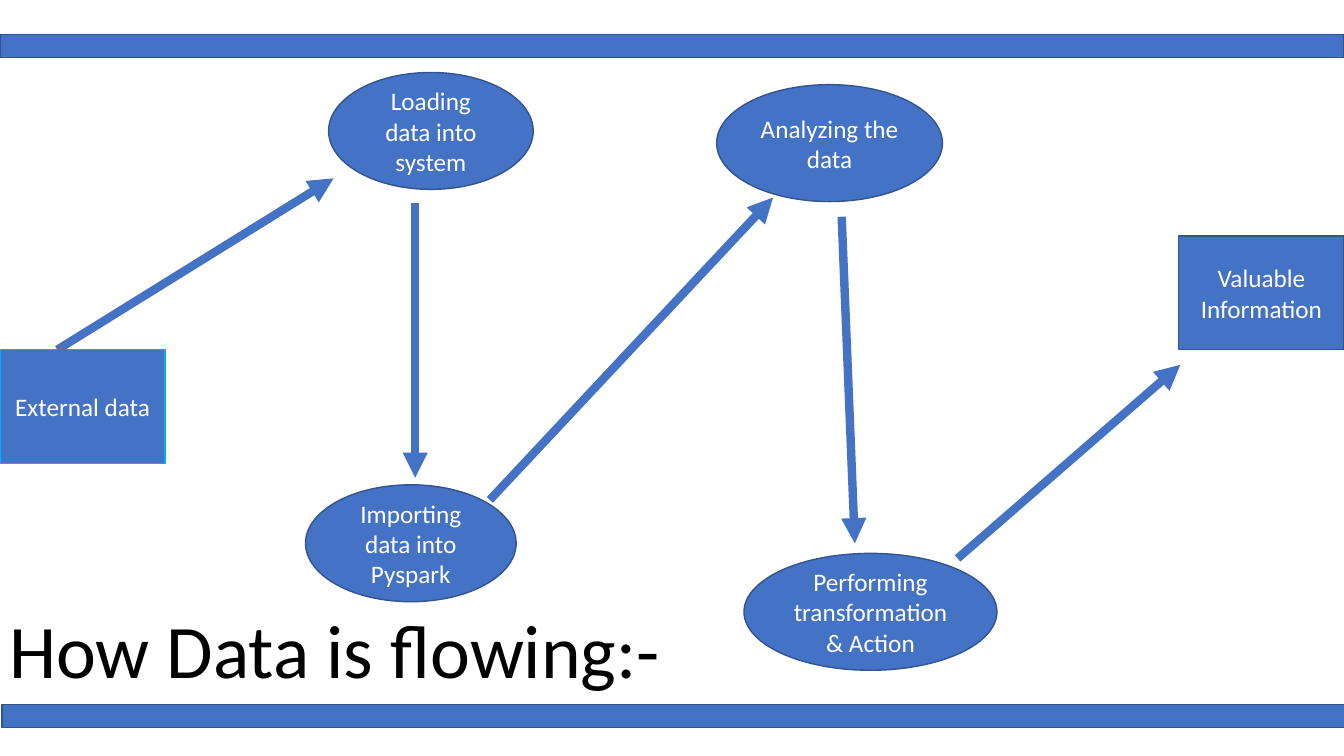
from pptx import Presentation
from pptx.dml.color import RGBColor as RGB
from pptx.enum.shapes import MSO_CONNECTOR as LINK, MSO_SHAPE as SHAPE
from pptx.enum.text import MSO_ANCHOR as ANCHOR, PP_ALIGN as ALIGN
from pptx.oxml.ns import qn
from pptx.util import Pt
from lxml.etree import SubElement as add_sub

HUES = {"blue": "4472C4", "edge": "325491", "cyan": "00B0F0",
        "white": "FFFFFF", "black": "000000"}
FONT = "Calibri"
WIDE, HIGH = 960, 540
NODE_W, NODE_H, OVAL_H = 118, 81.4, 83.5


def hue(name):
    """Return the named colour."""
    return RGB.from_string(HUES[name])


def write(frame, text, size, tint):
    """Put one centred line of text into a frame."""
    frame.word_wrap = True
    para = frame.paragraphs[0]
    para.alignment = ALIGN.CENTER
    run = para.add_run()
    run.text = text
    run.font.name, run.font.size = FONT, Pt(size)
    run.font.color.rgb = hue(tint)


def draw_block(slide, kind, box, text="", edge="edge"):
    """Draw a filled shape, with a label if one is given."""
    block = slide.shapes.add_shape(kind, *map(Pt, box))
    block.shadow.inherit = False
    block.fill.solid()
    block.fill.fore_color.rgb = hue("blue")
    block.line.color.rgb = hue(edge)
    block.line.width = Pt(1)
    if text:
        block.text_frame.vertical_anchor = ANCHOR.MIDDLE
        write(block.text_frame, text, 18, "white")


def draw_arrow(slide, ends):
    """Draw a thick arrow from the first point to the second."""
    arrow = slide.shapes.add_connector(LINK.STRAIGHT, *map(Pt, ends))
    arrow.line.color.rgb = hue("blue")
    arrow.line.width = Pt(6)
    add_sub(arrow.line._get_or_add_ln(), qn("a:tailEnd"), type="triangle")
    add_sub(arrow._element.spPr, qn("a:effectLst"))


def draw_flow(slide, box):
    """Place the steps of the data flow and the arrows between them."""
    left, top, width, _ = box
    ends = [(0, 208.8, "External data", "cyan"),
            (width - NODE_W, 127.5, "Valuable Information", "edge")]
    for x, y, text, edge in ends:
        draw_block(slide, SHAPE.RECTANGLE,
                   (left + x, top + y, NODE_W, NODE_H), text, edge)
    steps = [(234.7, 10.8, 146.2, "Loading data into system"),
             (511.9, 19.5, 161.3, "Analyzing the data"),
             (218.2, 305.3, 150.5, "Importing data into Pyspark"),
             (531.4, 354.3, 180.7, "Performing transformation & Action")]
    for x, y, wide, text in steps:
        draw_block(slide, SHAPE.OVAL,
                   (left + x, top + y, wide, OVAL_H), text)
    arrows = [(41, 208.8, 238.3, 86.4),
              (601.2, 113.8, 610.6, 347.1),
              (349.9, 316.1, 552.2, 100.1),
              (296.6, 103.7, 296.6, 300.3),
              (684, 357.9, 843.1, 219.6)]
    for x1, y1, x2, y2 in arrows:
        draw_arrow(slide, (left + x1, top + y1, left + x2, top + y2))


def draw_title(slide, box):
    """Write the slide title in its box."""
    title = slide.shapes.add_textbox(*map(Pt, box))
    write(title.text_frame, "How Data is flowing:-", 54, "black")


def draw_bars(slide, box):
    """Draw the bands along the top and bottom of the box."""
    left, top, width, height = box
    thick = 16.6
    for x, y in [(0, 0), (1.4, height - thick)]:
        draw_block(slide, SHAPE.RECTANGLE, (left + x, top + y, width, thick))


def main():
    """Build and save the slide."""
    deck = Presentation()
    deck.slide_width, deck.slide_height = Pt(WIDE), Pt(HIGH)
    slide = deck.slides.add_slide(deck.slide_layouts[6])
    draw_flow(slide, (0, 41, WIDE, 462))
    draw_title(slide, (-54, 427, 586, 72))
    draw_bars(slide, (0, 24.5, WIDE, 495.4))
    deck.save("out.pptx")


if __name__ == "__main__":
    main()
